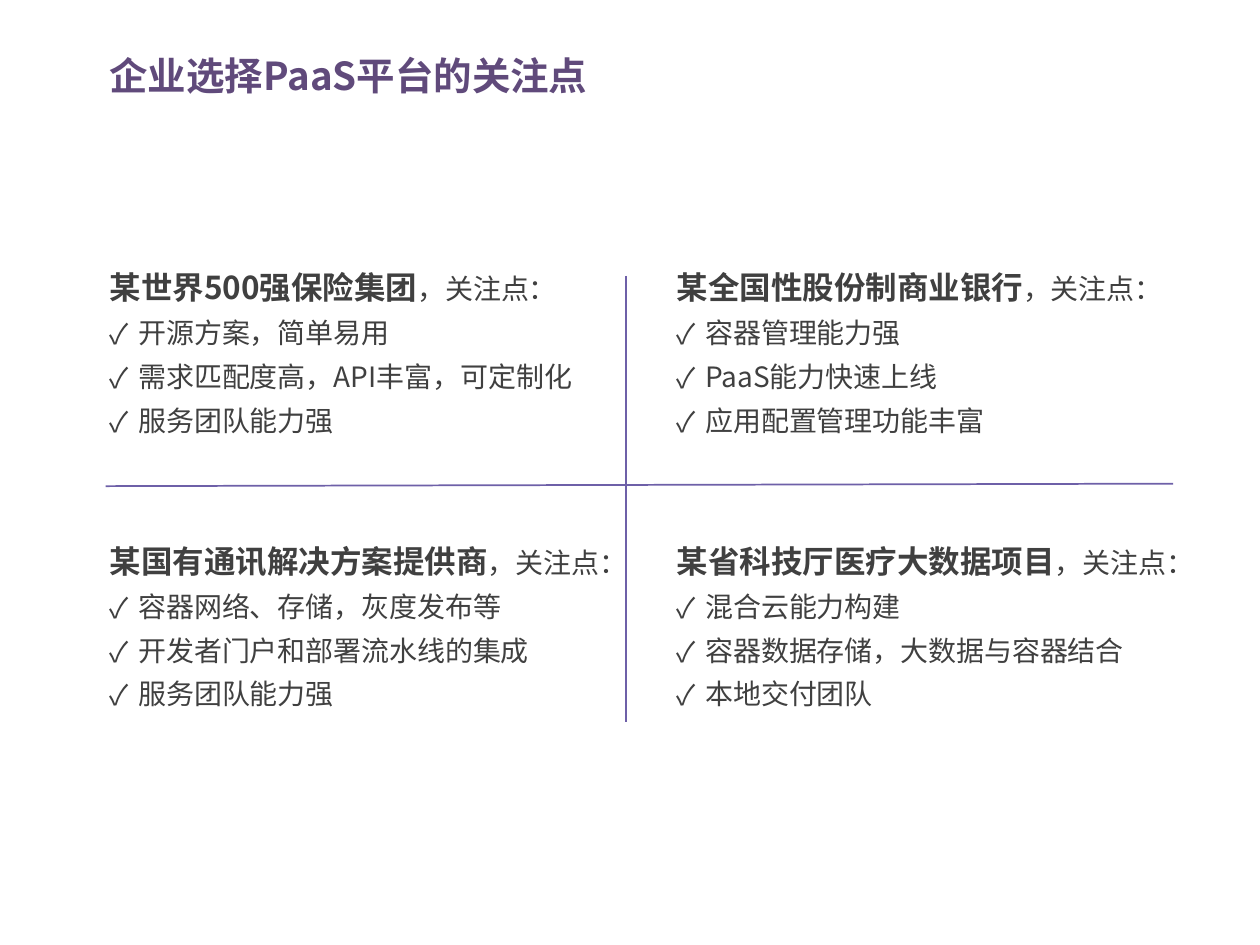
import dataclasses
import typing

import lxml.etree
import pptx
import pptx.dml.color
import pptx.enum.shapes
import pptx.enum.text
import pptx.oxml.ns
import pptx.util

Cm = pptx.util.Cm
Pt = pptx.util.Pt
qn = pptx.oxml.ns.qn

FONT = "Noto Sans CJK SC"
COLORS = {"title": "604A7B", "text": "404040", "line": "6E60A8"}
TITLE = {"size": Pt(22), "bold": True}
CLIENT = {"size": Pt(18), "bold": True}
BODY = {"size": Pt(16), "bold": False}
COLUMNS = (1.96, 13.39)
ROWS = (5.05, 10.57)
CARD_HEIGHT = 3.89
BULLET_INDENT = 0.58


@dataclasses.dataclass
class Card:
    client: str
    concerns: tuple[str, ...]
    width: float


@dataclasses.dataclass
class Divider:
    x1: float
    y1: float
    x2: float
    y2: float


CARDS = (
    Card("某世界500强保险集团",
         ("开源方案，简单易用", "需求匹配度高，API丰富，可定制化", "服务团队能力强"), 10.36),
    Card("某全国性股份制商业银行",
         ("容器管理能力强", "PaaS能力快速上线", "应用配置管理功能丰富"), 9.91),
    Card("某国有通讯解决方案提供商",
         ("容器网络、存储，灰度发布等", "开发者门户和部署流水线的集成", "服务团队能力强"), 11),
    Card("某省科技厅医疗大数据项目",
         ("混合云能力构建", "容器数据存储，大数据与容器结合", "本地交付团队"), 10.52),
)
DIVIDERS = (Divider(12.62, 5.56, 12.62, 14.55), Divider(23.65, 9.75, 2.13, 9.8))


def rgb(name: str) -> pptx.dml.color.RGBColor:
    return pptx.dml.color.RGBColor.from_string(COLORS[name])


def add_run(p: typing.Any, text: str, style: dict, color: str = "text") -> None:
    r = p.add_run()
    r.text = text
    for name, value in {**style, "name": FONT}.items():
        setattr(r.font, name, value)
    r.font.color.rgb = rgb(color)
    ea = lxml.etree.SubElement(r._r.get_or_add_rPr(), qn("a:ea"))
    ea.set("typeface", FONT)


def add_bullet(p: typing.Any) -> None:
    pPr = p._p.get_or_add_pPr()
    pPr.set("marL", str(Cm(BULLET_INDENT)))
    pPr.set("indent", str(-Cm(BULLET_INDENT)))
    clr = lxml.etree.SubElement(pPr, qn("a:buClr"))
    lxml.etree.SubElement(clr, qn("a:srgbClr")).set("val", COLORS["text"])
    lxml.etree.SubElement(pPr, qn("a:buFont")).set("typeface", FONT)
    lxml.etree.SubElement(pPr, qn("a:buChar")).set("char", "✓")


def add_text_box(s: typing.Any, x: float, y: float, w: float, h: float) -> typing.Any:
    tf = s.shapes.add_textbox(Cm(x), Cm(y), Cm(w), Cm(h)).text_frame
    tf.word_wrap = True
    return tf


def add_divider(s: typing.Any, d: Divider) -> None:
    line = s.shapes.add_connector(
        pptx.enum.shapes.MSO_CONNECTOR.STRAIGHT, Cm(d.x1), Cm(d.y1), Cm(d.x2), Cm(d.y2))
    line.line.color.rgb = rgb("line")
    line.line.width = Pt(1)
    lxml.etree.SubElement(line._element.spPr, qn("a:effectLst"))


def add_card(s: typing.Any, card: Card, x: float, y: float) -> None:
    tf = add_text_box(s, x, y, card.width, CARD_HEIGHT)
    tf.auto_size = pptx.enum.text.MSO_AUTO_SIZE.SHAPE_TO_FIT_TEXT
    p = tf.paragraphs[0]
    add_run(p, card.client, CLIENT)
    add_run(p, "，关注点：", BODY)
    for concern in card.concerns:
        p = tf.add_paragraph()
        add_bullet(p)
        add_run(p, concern, BODY)
    for p in tf.paragraphs:
        p.line_spacing = 1.3


def add_title(s: typing.Any, text: str) -> None:
    tf = add_text_box(s, COLUMNS[0], 0.89, 14.05, 1.24)
    tf.vertical_anchor = pptx.enum.text.MSO_ANCHOR.MIDDLE
    add_run(tf.paragraphs[0], text, TITLE, "title")


def main() -> None:
    prs = pptx.Presentation()
    prs.slide_width, prs.slide_height = Cm(25.4), Cm(19.05)
    s = prs.slides.add_slide(prs.slide_layouts[6])
    for divider in DIVIDERS:
        add_divider(s, divider)
    for i, card in enumerate(CARDS):
        row, column = divmod(i, len(COLUMNS))
        add_card(s, card, COLUMNS[column], ROWS[row])
    add_title(s, "企业选择PaaS平台的关注点")
    prs.save("out.pptx")


if __name__ == "__main__":
    main()
